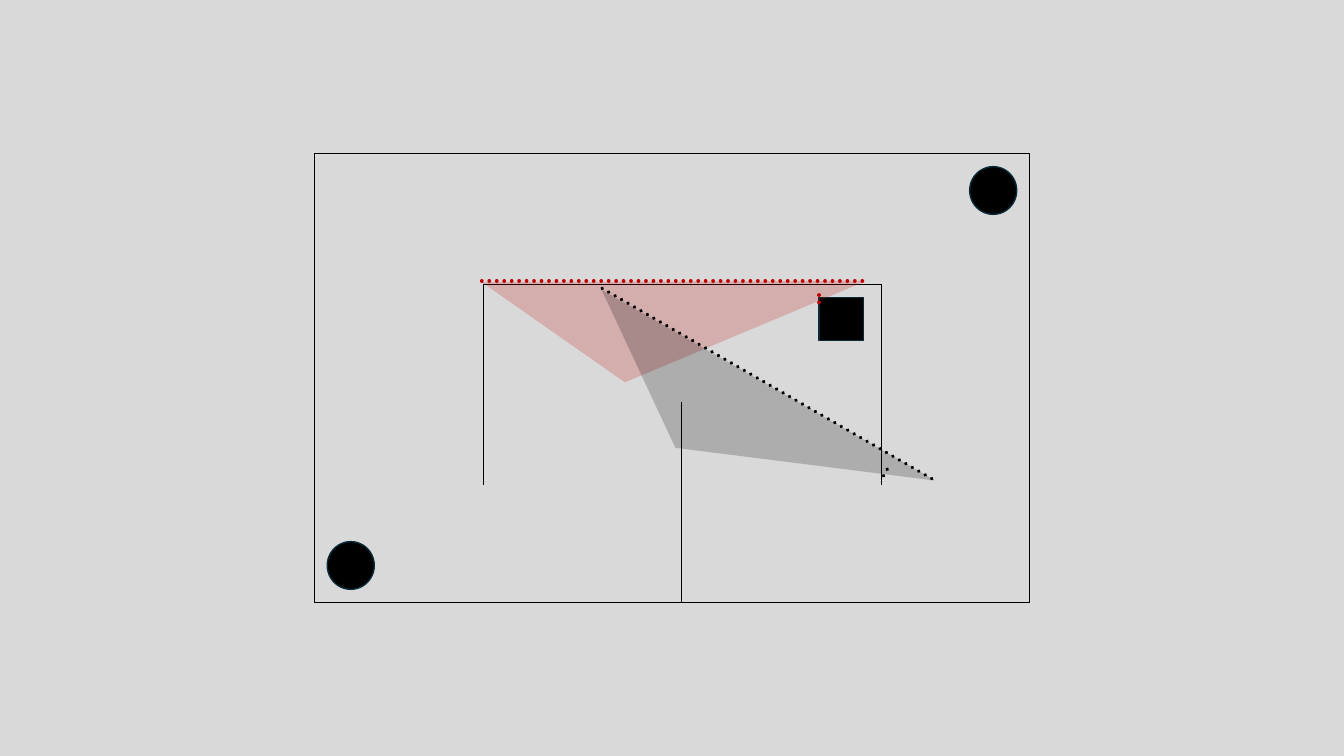
from lxml.etree import SubElement
from pptx import Presentation
from pptx.dml.color import RGBColor
from pptx.enum.dml import MSO_LINE
from pptx.enum.shapes import MSO_CONNECTOR, MSO_SHAPE
from pptx.oxml.ns import qn
from pptx.util import Inches, Pt

GREY = RGBColor(0xD9, 0xD9, 0xD9)
BLACK = RGBColor(0, 0, 0)
NAVY = RGBColor(0x09, 0x2A, 0x39)
RED = RGBColor(0xC0, 0, 0)

# Floor plan, in inches
LEFT, TOP, WIDTH, HEIGHT = 4.68, 2.29, 10.64, 6.67
RIGHT, BOTTOM = LEFT + WIDTH, TOP + HEIGHT
INSET, DISC_W, DISC_H = 0.19, 0.7, 0.71
WALL_TOP, WALL_LENGTH = 4.23, 2.98
WALL_LEFT, WALL_RIGHT, PARTITION = 7.19, 13.11, 10.14

SOLIDS = [
    (MSO_SHAPE.RECTANGLE, (LEFT, TOP, WIDTH, HEIGHT), GREY, BLACK, 1),
    (MSO_SHAPE.OVAL, (LEFT + INSET, BOTTOM - INSET - DISC_H, DISC_W, DISC_H), BLACK, NAVY, 1.5),
    (MSO_SHAPE.OVAL, (RIGHT - INSET - DISC_W, TOP + INSET, DISC_W, DISC_H), BLACK, NAVY, 1.5),
    (MSO_SHAPE.RECTANGLE, (12.19, 4.43, 0.66, 0.64), BLACK, NAVY, 1.5),
]
WALLS = [
    (WALL_LEFT, WALL_TOP, WALL_LEFT, WALL_TOP + WALL_LENGTH),
    (PARTITION, BOTTOM - WALL_LENGTH, PARTITION, BOTTOM),
    (WALL_RIGHT, WALL_TOP, WALL_RIGHT, WALL_TOP + WALL_LENGTH),
    (WALL_LEFT, WALL_TOP, WALL_RIGHT, WALL_TOP),
]

# View cone, relative to its left end: triangle and dotted sight lines
CONE = [(5.72, 0), (2.13, 1.51), (0, 0.02)]
SIGHTS = [(0, 0, 5.72, 0), (5.02, 0.21, 5.02, 0.39)]
CONES = [(7.17, 4.18, RED, 0), (8.2, 5.62, BLACK, 30)]  # left, top, colour, turn


def add_solid(shapes, kind, place, fill, edge, weight):
    shape = shapes.add_shape(kind, *map(Inches, place))
    shape.shadow.inherit = False
    shape.fill.solid()
    shape.fill.fore_color.rgb = fill
    shape.line.color.rgb = edge
    shape.line.width = Pt(weight)


def add_line(shapes, ends, color=BLACK, weight=1, dotted=False):
    line = shapes.add_connector(MSO_CONNECTOR.STRAIGHT, *map(Inches, ends))
    line.line.color.rgb = color
    line.line.width = Pt(weight)
    if dotted:
        line.line.dash_style = MSO_LINE.ROUND_DOT
        line.line._get_or_add_ln().set("cap", "rnd")
    SubElement(line._element.spPr, qn("a:effectLst"))


def add_cone(shapes, left, top, color, turn):
    group = shapes.add_group_shape()
    points = [(Inches(left + x), Inches(top + y)) for x, y in CONE]
    builder = group.shapes.build_freeform(*points[0], scale=1.0)
    builder.add_line_segments(points[1:], close=True)
    area = builder.convert_to_shape()
    area.shadow.inherit = False
    area.fill.solid()
    area.fill.fore_color.rgb = color
    paint = area._element.spPr.find(qn("a:solidFill"))[0]
    SubElement(paint, qn("a:alpha"), val="20000")
    area.line.fill.background()
    for x1, y1, x2, y2 in SIGHTS:
        ends = left + x1, top + y1, left + x2, top + y2
        add_line(group.shapes, ends, color, 4, dotted=True)
    group.rotation = turn


def main():
    deck = Presentation()
    deck.slide_width, deck.slide_height = Inches(20), Inches(11.25)
    page = deck.slides.add_slide(deck.slide_layouts[6])
    page.background.fill.solid()
    page.background.fill.fore_color.rgb = GREY

    # Board, discs and block, then walls, then view cones
    for solid in SOLIDS:
        add_solid(page.shapes, *solid)
    for wall in WALLS:
        add_line(page.shapes, wall)
    for cone in CONES:
        add_cone(page.shapes, *cone)
    deck.save("out.pptx")


if __name__ == "__main__":
    main()
